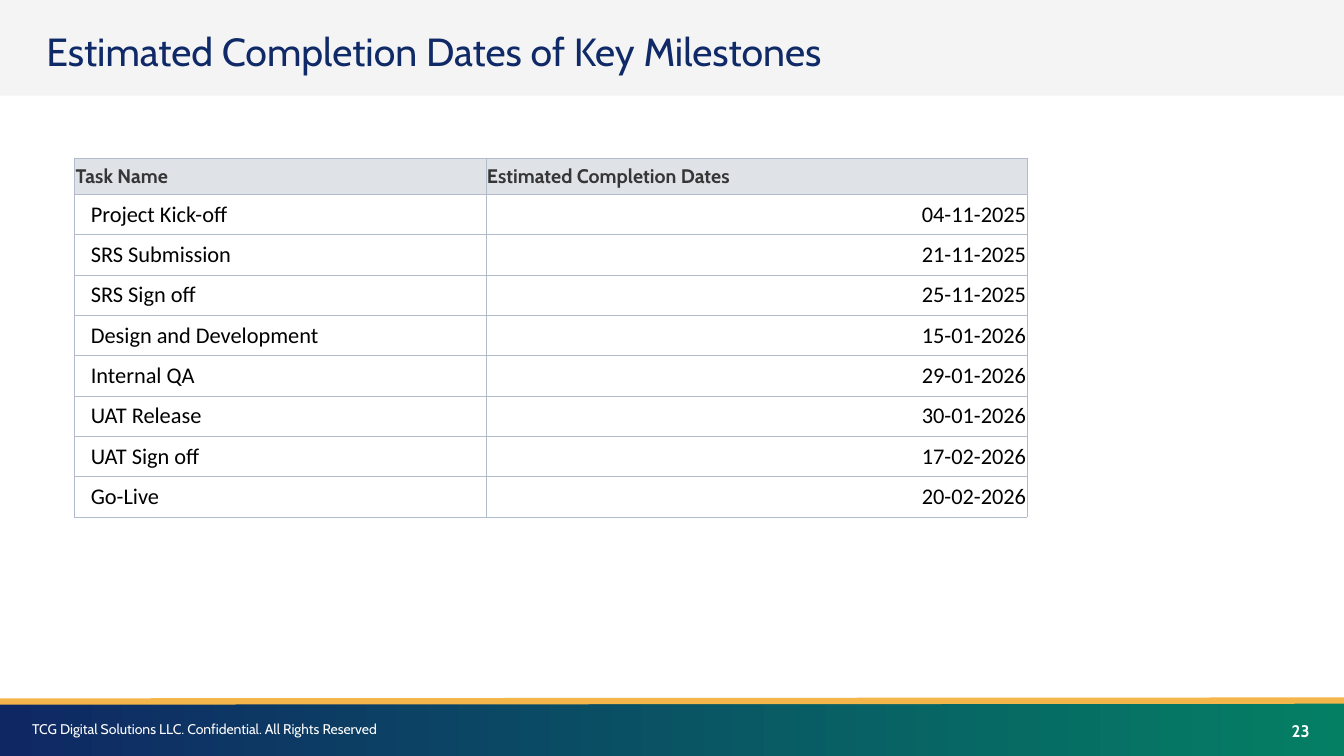
from pptx import Presentation
from pptx.dml.color import RGBColor as RGB
from pptx.enum.shapes import MSO_CONNECTOR as Link, MSO_SHAPE as Shape
from pptx.enum.text import MSO_ANCHOR as Anchor, PP_ALIGN as Align
from pptx.oxml import parse_xml
from pptx.oxml.ns import nsdecls
from pptx.oxml.xmlchemy import OxmlElement
from pptx.util import Pt

TITLE = "Estimated Completion Dates of Key Milestones"
FOOTER = "TCG Digital Solutions LLC. Confidential. All Rights Reserved"
PAGE = "23"
HEADS = ("Task Name", "Estimated Completion Dates")
TASKS = [
    ("Project Kick-off", "04-11-2025"),
    ("SRS Submission", "21-11-2025"),
    ("SRS Sign off", "25-11-2025"),
    ("Design and Development", "15-01-2026"),
    ("Internal QA", "29-01-2026"),
    ("UAT Release", "30-01-2026"),
    ("UAT Sign off", "17-02-2026"),
    ("Go-Live", "20-02-2026"),
]

HEX = {
    "navy": "0F2864", "green": "047F64", "gold": "F4B64A", "band": "F4F4F4",
    "title": "102A68", "head": "DFE3E8", "ink": "363636", "rule": "B1BBCC",
    "white": "FFFFFF", "black": "000000",
}
FONTS = {
    "title": dict(name="Cabin", size=Pt(28), bold=False),
    "foot": dict(name="Cabin", size=Pt(10), bold=False),
    "page": dict(name="Cabin", size=Pt(12), bold=True),
    "head": dict(name="Cabin", size=Pt(14), bold=True),
    "task": dict(name="Calibri", size=Pt(16), bold=False),
}
WIDE, HIGH = 960, 540
BAND = 68.4
FOOT = 500.4
COLS = (293.8, 386.6)
HEAD, ROW = 25.9, 28.8
INSET, INDENT = 0.72, 11.6


def tint(name):
    return RGB.from_string(HEX[name])


def write(frame, text, font, color, align=Align.LEFT):
    para = frame.paragraphs[0]
    para.alignment = align
    run = para.add_run()
    run.text = text
    for key, value in FONTS[font].items():
        setattr(run.font, key, value)
    run.font.color.rgb = tint(color)


def bar(slide, top, high):
    shape = slide.shapes.add_shape(Shape.RECTANGLE, 0, Pt(top), Pt(WIDE), Pt(high))
    shape.shadow.inherit = False
    shape.line.fill.background()
    return shape


def label(slide, box, *text):
    frame = slide.shapes.add_textbox(*map(Pt, box)).text_frame
    frame.word_wrap = True
    write(frame, *text)


def frame_page(slide):
    """Draw the footer, the header band and the title."""
    fill = bar(slide, FOOT, HIGH - FOOT).fill
    fill.gradient()
    fill.gradient_angle = 0
    for stop, name in zip(fill.gradient_stops, ("navy", "green")):
        stop.color.rgb = tint(name)

    rule = slide.shapes.add_connector(
        Link.STRAIGHT, 0, Pt(FOOT + 0.7), Pt(WIDE), Pt(FOOT))
    rule.line.width = Pt(4.5)
    rule.line.color.rgb = tint("gold")
    rule._element.spPr.append(OxmlElement("a:effectLst"))

    label(slide, (15.8, 511.2, 308.2, 19.4), FOOTER, "foot", "white")
    band = bar(slide, 0, BAND)
    band.fill.solid()
    band.fill.fore_color.rgb = tint("band")
    label(slide, (864, 511.2, 78.5, 28.8), PAGE, "page", "white", Align.RIGHT)

    title = slide.shapes.title
    slide.shapes._spTree.append(title._element)  # in front of the band
    place = dict(left=33.1, top=19.4, width=607, height=33.8)
    for key, value in place.items():
        setattr(title, key, Pt(value))
    frame = title.text_frame
    for side in ("left", "top", "right", "bottom"):
        setattr(frame, f"margin_{side}", 0)
    frame.vertical_anchor = Anchor.TOP
    write(frame, TITLE, "title", "title")


def edge(cell):
    """Give a cell thin lines on all sides."""
    props = cell._tc.get_or_add_tcPr()
    for side in "LRTB":
        props.append(parse_xml(
            f'<a:ln{side} {nsdecls("a")} w="{Pt(0.5)}"><a:solidFill>'
            f'<a:srgbClr val="{HEX["rule"]}"/></a:solidFill></a:ln{side}>'))


def add_dates(slide):
    rows = [HEADS, *TASKS]
    high = HEAD + ROW * len(TASKS)
    table = slide.shapes.add_table(
        len(rows), len(COLS), Pt(53.3), Pt(113), Pt(sum(COLS)), Pt(high)).table
    for col, wide in zip(table.columns, COLS):
        col.width = Pt(wide)
    for r, row in enumerate(rows):
        top = r == 0
        table.rows[r].height = Pt(HEAD if top else ROW)
        for c, text in enumerate(row):
            cell = table.cell(r, c)
            edge(cell)
            cell.fill.solid()
            cell.fill.fore_color.rgb = tint("head" if top else "white")
            cell.vertical_anchor = Anchor.MIDDLE
            for side in ("left", "top", "right", "bottom"):
                setattr(cell, f"margin_{side}", Pt(INSET))
            if top:
                write(cell.text_frame, text, "head", "ink")
            elif c == 0:
                cell.margin_left = Pt(INDENT)
                write(cell.text_frame, text, "task", "black")
            else:
                write(cell.text_frame, text, "task", "black", Align.RIGHT)


def main():
    deck = Presentation()
    deck.slide_width, deck.slide_height = Pt(WIDE), Pt(HIGH)
    slide = deck.slides.add_slide(deck.slide_layouts.get_by_name("Title Only"))
    frame_page(slide)
    add_dates(slide)
    deck.save("out.pptx")


if __name__ == "__main__":
    main()
